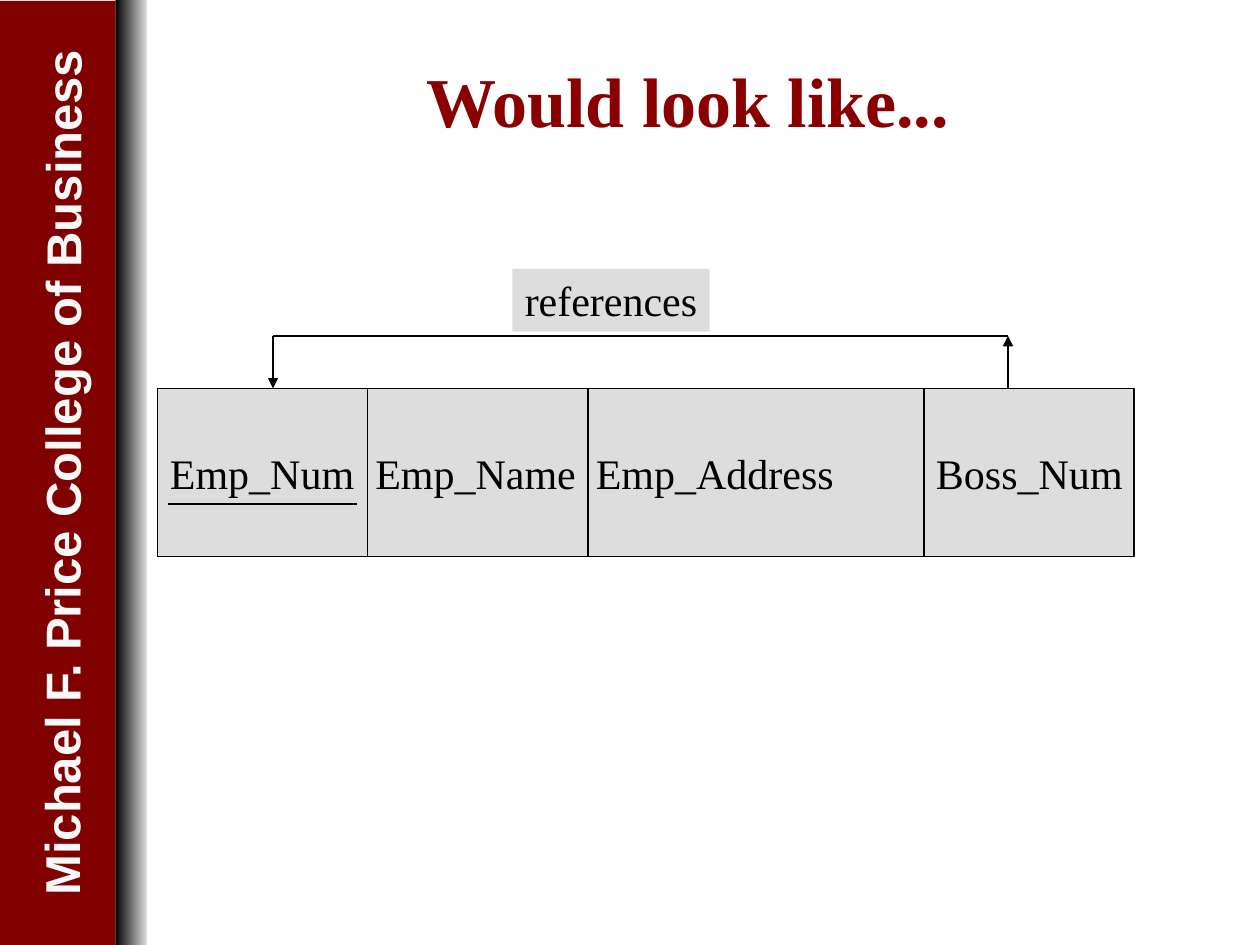
from lxml.etree import SubElement
from pptx import Presentation
from pptx.dml.color import RGBColor
from pptx.enum.shapes import MSO_CONNECTOR as Connector, MSO_SHAPE as Shape
from pptx.enum.text import MSO_ANCHOR as Anchor, PP_ALIGN as Align
from pptx.oxml import parse_xml
from pptx.oxml.ns import nsdecls, qn
from pptx.util import Inches, Pt

color = RGBColor.from_string
deck = Presentation()
deck.slide_width, deck.slide_height = Inches(10), Inches(7.5)
slide = deck.slides.add_slide(deck.slide_layouts[6])
UNIT = deck.slide_width / 120


def block(left, top, width, height, fill=None):
    box = slide.shapes.add_shape(Shape.RECTANGLE, *[round(n * UNIT) for n in (left, top, width, height)])
    box.shadow.inherit = False
    box.line.fill.background()
    if fill:
        box.fill.solid()
        box.fill.fore_color.rgb = color(fill)
    else:
        box.fill.background()
    return box


def write(box, text, size, face, ink, align=Align.LEFT, bold=False, shade=None):
    paragraph = box.text_frame.paragraphs[0]
    paragraph.alignment = align
    run = paragraph.add_run()
    run.text = text
    run.font.size, run.font.name, run.font.bold = Pt(size), face, bold
    run.font.color.rgb = color(ink)
    if shade:
        run.font.fill._xPr.find(qn("a:solidFill")).addnext(parse_xml(
            f'<a:effectLst {nsdecls("a")}><a:outerShdw dist="38100" dir="2700000">'
            f'<a:srgbClr val="{shade}"/></a:outerShdw></a:effectLst>'))


fade = block(11, 0, 3, 90)
fade.fill.gradient()
fade.fill.gradient_angle = 0
for stop, shade in zip(fade.fill.gradient_stops, ("000000", "DDDDDD")):
    stop.color.rgb = color(shade)
block(0, 0.1, 11, 90, "800000")

college = block(-39.4, 41.6, 90, 6.8)
college.rotation = 270.1
college.text_frame.word_wrap = True
college.text_frame.vertical_anchor = Anchor.BOTTOM
college.text_frame.margin_bottom = Inches(0.03)
write(college, "Michael F. Price College of Business", 28, "Arial", "F8F8F8", Align.CENTER, True, "000000")

title = block(16, 4, 99, 12)
title.text_frame.word_wrap = True
title.text_frame.vertical_anchor = Anchor.TOP
title.text_frame.margin_top = Inches(0.12)
write(title, "Would look like...", 40, "Times New Roman", "8A0000", Align.CENTER, True, "969696")

employee = block(15, 37, 93, 16, "DDDDDD")
employee.line.color.rgb = color("000000")
employee.line.width = Pt(0.75)
employee.text_frame.word_wrap = True
employee.text_frame.vertical_anchor = Anchor.MIDDLE
employee.text_frame.margin_right = 0
tabs = SubElement(employee.text_frame.paragraphs[0]._p.get_or_add_pPr(), qn("a:tabLst"))
for stop in (1.63, 3.38, 6.08):
    SubElement(tabs, qn("a:tab"), pos=str(Inches(stop)), algn="l")
write(employee, "Emp_Num\tEmp_Name\tEmp_Address\tBoss_Num", 24, "Times New Roman", "000000")

dividers = [(column, 37, column, 53, False) for column in (35, 56, 88)]
key_underline = (16, 48, 34, 48, False)
reference_path = [(96, 37, 96, 32, True), (96, 32, 26, 32, False), (26, 32, 26, 37, True)]
for *ends, arrow in [*dividers, key_underline, *reference_path]:
    rule = slide.shapes.add_connector(Connector.STRAIGHT, *[round(n * UNIT) for n in ends])
    rule.line.color.rgb = color("000000")
    rule.line.width = Pt(0.75)
    if arrow:
        SubElement(rule.line._get_or_add_ln(), qn("a:tailEnd"), type="triangle")
    SubElement(rule._element.spPr, qn("a:effectLst"))

references = block(48.8, 25.6, 18.8, 6, "DDDDDD")
references.text_frame.word_wrap = False
references.text_frame.vertical_anchor = Anchor.TOP
write(references, "references", 24, "Times New Roman", "000000")

deck.save("out.pptx")
